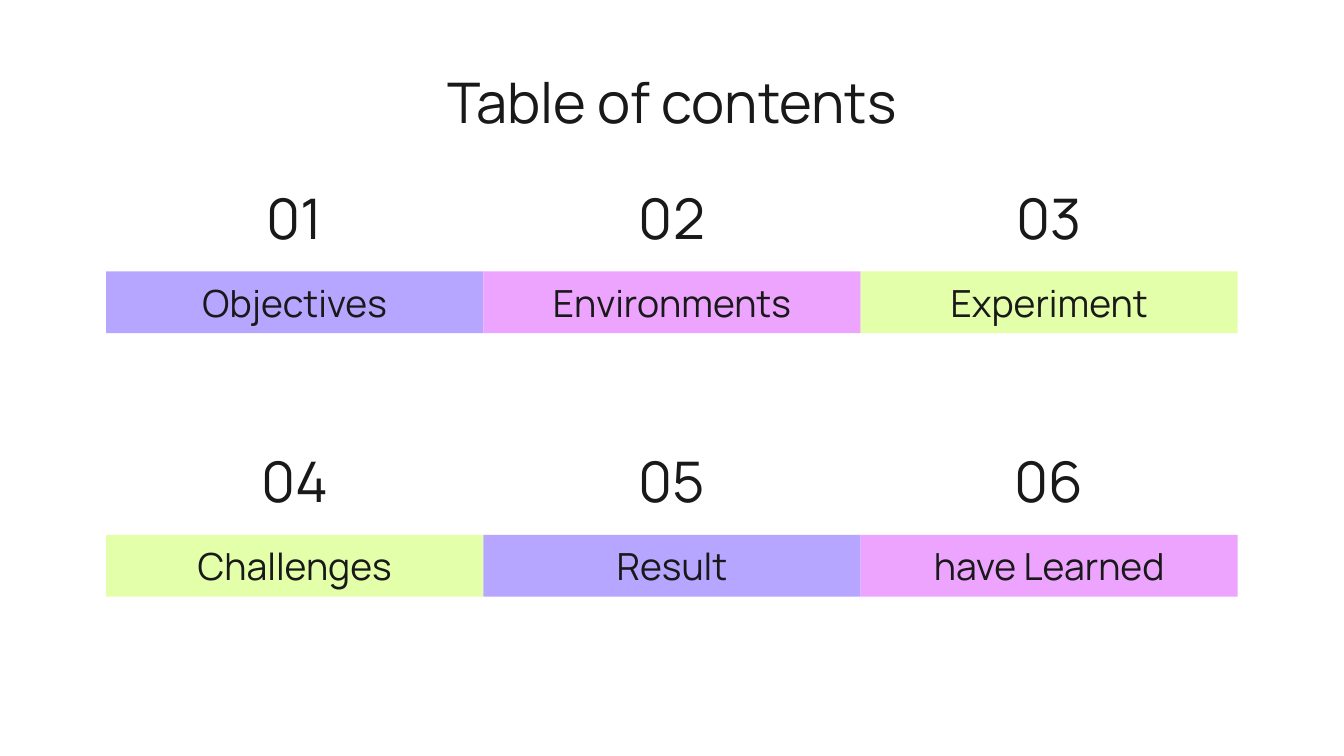
from pptx import Presentation
from pptx.dml.color import RGBColor
from pptx.enum.shapes import MSO_SHAPE as Shape
from pptx.enum.text import MSO_ANCHOR as Anchor, MSO_AUTO_SIZE as AutoSize, PP_ALIGN as Align
from pptx.util import Inches, Pt

TITLE = "Table of contents"
SECTIONS = [
    [("Objectives", "violet"), ("Environments", "pink"), ("Experiment", "lime")],
    [("Challenges", "lime"), ("Result", "violet"), ("have Learned", "pink")],
]

THEME = {
    "font": "Manrope",
    "ink": "191919",
    "paper": "FFFFFF",
    "violet": "B7A6FF",
    "pink": "EDA4FF",
    "lime": "E4FFA9",
    "heading": 30,
    "label": 20,
}

SLIDE_W = 10
SLIDE_H = SLIDE_W * 9 / 16
LEFT, TOP = 0.79, 1.29
ROW_W = 8.42
BAR_W, BAR_H = ROW_W / len(SECTIONS[0]), 0.46
NUMBER_W, NUMBER_H = 1.39, 0.65
BAR_DROP, ROW_STEP = 0.73, 1.96


def color(name):
    return RGBColor.from_string(THEME[name])


def write(sp, text, size, anchor=Anchor.MIDDLE):
    tf = sp.text_frame
    tf.word_wrap = True
    tf.auto_size = AutoSize.NONE
    tf.vertical_anchor = anchor
    tf.margin_left = tf.margin_right = tf.margin_top = tf.margin_bottom = Inches(0.1)
    p = tf.paragraphs[0]
    p.alignment = Align.CENTER
    r = p.add_run()
    r.text = text
    r.font.name = THEME["font"]
    r.font.size = Pt(THEME[size])
    r.font.color.rgb = color("ink")


def add_section(s, x, y, number, label, fill):
    bar = s.shapes.add_shape(
        Shape.RECTANGLE, Inches(x), Inches(y + BAR_DROP), Inches(BAR_W), Inches(BAR_H))
    bar.shadow.inherit = False
    bar.fill.solid()
    bar.fill.fore_color.rgb = color(fill)
    bar.line.fill.background()
    write(bar, label, "label")

    number_x = x + (BAR_W - NUMBER_W) / 2
    box = s.shapes.add_textbox(
        Inches(number_x), Inches(y), Inches(NUMBER_W), Inches(NUMBER_H))
    write(box, f"{number:02d}", "heading")


def main():
    prs = Presentation()
    prs.slide_width, prs.slide_height = Inches(SLIDE_W), Inches(SLIDE_H)
    s = prs.slides.add_slide(prs.slide_layouts[5])
    s.background.fill.solid()
    s.background.fill.fore_color.rgb = color("paper")

    title = s.shapes.title
    title.left, title.top = Inches(LEFT), Inches(0.47)
    title.width, title.height = Inches(ROW_W), Inches(0.63)
    write(title, TITLE, "heading", Anchor.BOTTOM)

    for row, sections in enumerate(SECTIONS):
        for col, (label, fill) in enumerate(sections):
            number = row * len(sections) + col + 1
            add_section(s, LEFT + col * BAR_W, TOP + row * ROW_STEP, number, label, fill)

    prs.save("out.pptx")


if __name__ == "__main__":
    main()
